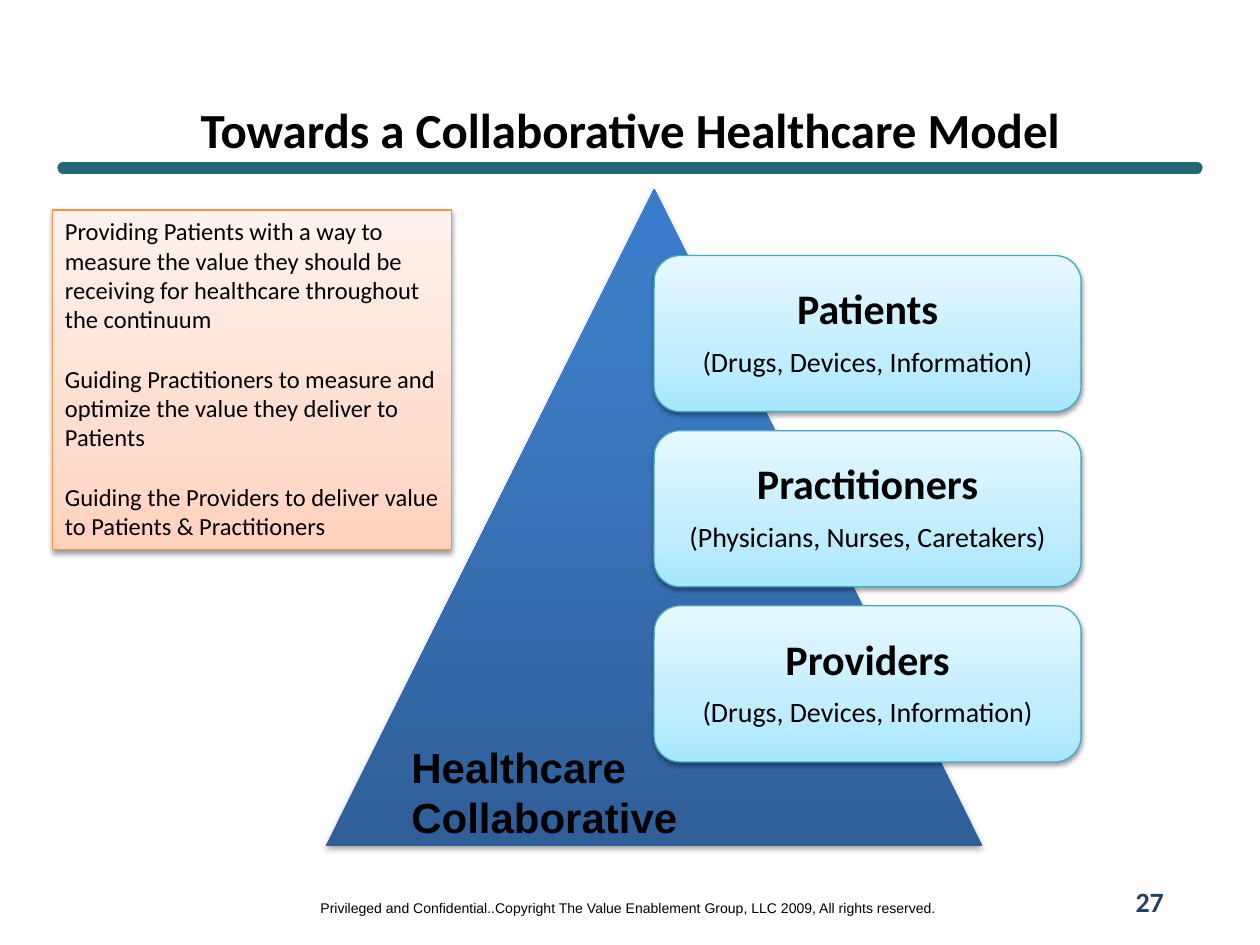
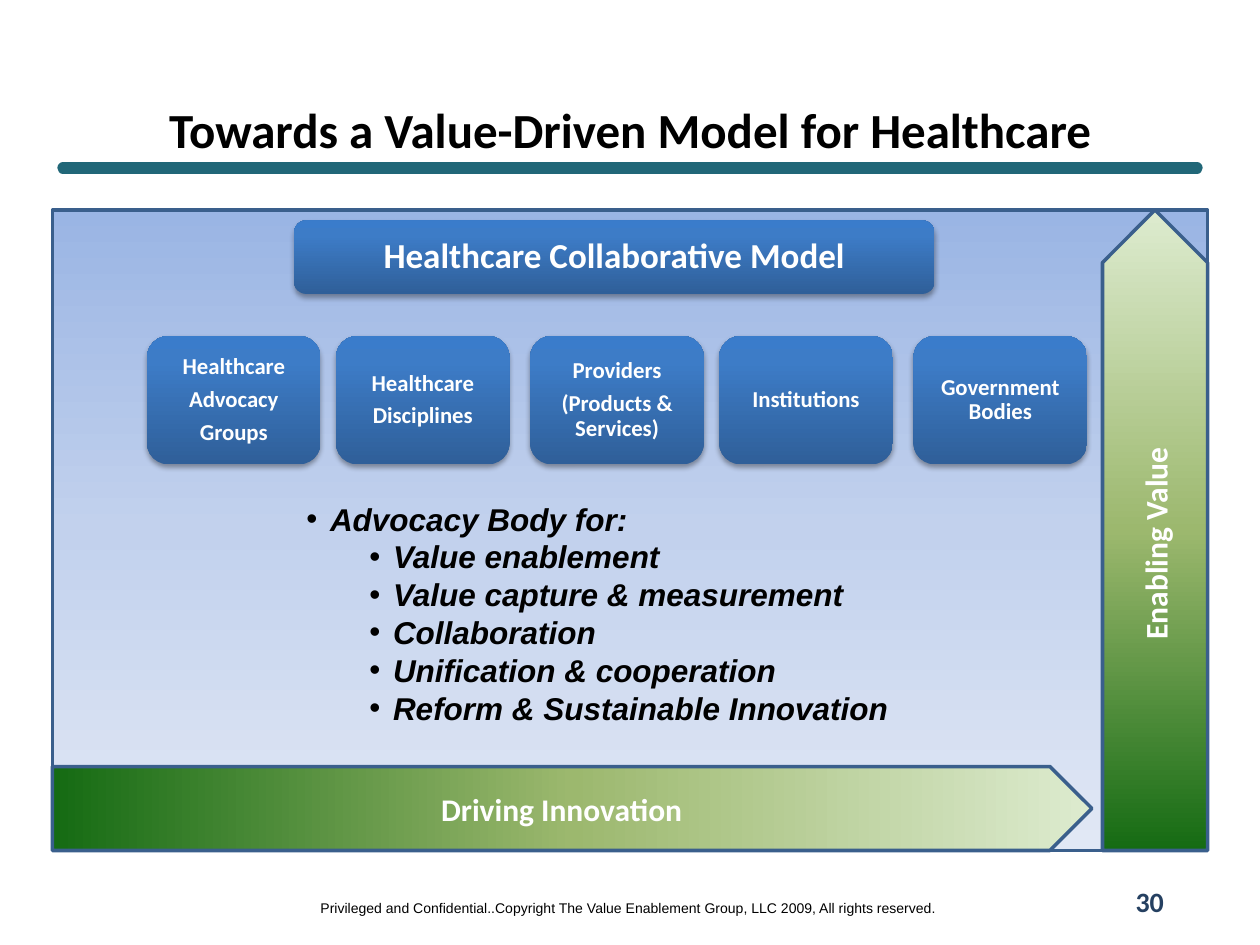
from dataclasses import dataclass
from typing import NamedTuple, Optional

from lxml.etree import SubElement
from pptx import Presentation
from pptx.dml.color import RGBColor
from pptx.enum.shapes import MSO_CONNECTOR, MSO_SHAPE as Preset
from pptx.enum.text import MSO_ANCHOR as Anchor, PP_ALIGN as Align
from pptx.oxml.ns import qn
from pptx.presentation import Presentation as Deck
from pptx.shapes.autoshape import Shape
from pptx.slide import Slide
from pptx.text.text import TextFrame
from pptx.util import Pt


class Box(NamedTuple):
    left: float
    top: float
    width: float
    height: float


class Gradient(NamedTuple):
    stops: tuple[tuple[int, str], ...]
    angle: int


class Outline(NamedTuple):
    color: str
    width: float


class Shadow(NamedTuple):
    opacity: int
    blur: float
    distance: float


@dataclass(frozen=True)
class Style:
    gradient: Gradient
    outline: Optional[Outline] = None
    shadow: Optional[Shadow] = None


@dataclass(frozen=True)
class Theme:
    heading_font: str = "Calibri"
    plain_font: str = "Arial"
    black: str = "000000"
    white: str = "FFFFFF"
    rule: Outline = Outline("216778", 6.5)
    page_number: str = "254061"
    title_size: float = 28
    card_size: float = 24
    banner_size: float = 20
    arrow_size: float = 18
    detail_size: float = 16
    note_size: float = 14
    member_size: float = 13
    footer_size: float = 8
    blue: Style = Style(
        Gradient(((0, "2F5F99"), (80, "3D7CC7"), (100, "3A7CCB")), 270),
        shadow=Shadow(35, 3.1, 1.8))
    aqua: Style = Style(
        Gradient(((0, "A7E6FF"), (35, "C1EDFF"), (100, "E7F8FF")), 270),
        Outline("46AAC5", 0.75), Shadow(38, 3.1, 1.6))
    peach: Style = Style(
        Gradient(((0, "FFD2BD"), (35, "FFDED0"), (100, "FFF2ED")), 270),
        Outline("F69240", 0.75), Shadow(38, 3.1, 1.6))
    backdrop: Style = Style(
        Gradient(((0, "9AB5E4"), (50, "C2D1ED"), (100, "E1E8F5")), 90),
        Outline("3A5F8C", 2))
    green: Style = Style(
        Gradient(((0, "DDEBCF"), (50, "9CB86E"), (100, "156B13")), 180),
        Outline("3A5F8C", 2))


class Card(NamedTuple):
    heading: str
    detail: str


class Member(NamedTuple):
    left: float
    lines: tuple[str, ...]


THEME = Theme()
FOOTER = ("Privileged and Confidential..Copyright The Value Enablement Group, "
          "LLC 2009, All rights reserved.")
CARDS = (
    Card("Patients", "(Drugs, Devices, Information)"),
    Card("Practitioners", "(Physicians, Nurses, Caretakers)"),
    Card("Providers", "(Drugs, Devices, Information)"),
)
AIMS = (
    "Providing Patients with a way to measure the value they should be "
    "receiving for healthcare throughout the continuum",
    "Guiding Practitioners to measure and optimize the value they deliver to Patients",
    "Guiding the Providers to deliver value to Patients & Practitioners",
)
MEMBERS = (
    Member(84, ("Healthcare", "Advocacy", "Groups")),
    Member(192, ("Healthcare", "Disciplines")),
    Member(303, ("Providers", "(Products & Services)")),
    Member(411, ("Institutions",)),
    Member(522, ("Government Bodies",)),
)
ADVOCACY = ("Value enablement", "Value capture & measurement", "Collaboration",
            "Unification & cooperation", "Reform & Sustainable Innovation")


def write(frame: TextFrame, text: str, *, size: float, color: str = THEME.black,
          font: str = THEME.heading_font, bold: bool = False, italic: bool = False,
          align: Align = Align.LEFT, line_spacing: float = 1, before: float = 0,
          after: float = 0, bullet_indent: float = 0, level: int = 0) -> None:
    """Add one paragraph, using the empty first one when it is still free."""
    first = frame.paragraphs[0]
    paragraph = frame.add_paragraph() if first.runs else first
    paragraph.alignment = align
    paragraph.level = level
    paragraph.line_spacing = line_spacing
    paragraph.space_before = Pt(before)
    paragraph.space_after = Pt(after)
    if bullet_indent:
        properties = paragraph._p.get_or_add_pPr()
        properties.set("marL", str(Pt(bullet_indent)))
        properties.set("indent", str(-Pt(13.5)))
        SubElement(properties, qn("a:buFont"), typeface=THEME.plain_font)
        SubElement(properties, qn("a:buChar"), char="•")
    run = paragraph.add_run()
    run.text = text
    run.font.name = font
    run.font.size = Pt(size)
    run.font.bold = bold
    run.font.italic = italic
    run.font.color.rgb = RGBColor.from_string(color)


def write_block(frame: TextFrame, text: str, *, size: float, **formats) -> None:
    """Add a centred, tightly set paragraph followed by 35% of its size."""
    write(frame, text, size=size, align=Align.CENTER, line_spacing=0.9,
          after=0.35 * size, **formats)


def set_margin(frame: TextFrame, margin: float) -> None:
    frame.margin_left = frame.margin_right = Pt(margin)
    frame.margin_top = frame.margin_bottom = Pt(margin)


def add_text_area(slide: Slide, box: Box, *, anchor: Anchor = Anchor.TOP,
                  wrap: bool = True) -> TextFrame:
    frame = slide.shapes.add_textbox(*map(Pt, box)).text_frame
    frame.word_wrap = wrap
    frame.vertical_anchor = anchor
    return frame


def apply_gradient(shape: Shape, gradient: Gradient) -> None:
    shape.fill.gradient()
    fill = shape.element.spPr.find(qn("a:gradFill"))
    for child in list(fill):
        fill.remove(child)
    fill.set("rotWithShape", "1")
    stops = SubElement(fill, qn("a:gsLst"))
    for position, color in gradient.stops:
        stop = SubElement(stops, qn("a:gs"), pos=str(position * 1000))
        SubElement(stop, qn("a:srgbClr"), val=color)
    SubElement(fill, qn("a:lin"), ang=str(gradient.angle * 60000), scaled="0")


def apply_shadow(shape: Shape, shadow: Shadow) -> None:
    effects = shape.element.spPr.find(qn("a:effectLst"))
    outer = SubElement(effects, qn("a:outerShdw"), blurRad=str(Pt(shadow.blur)),
                       dist=str(Pt(shadow.distance)), dir="5400000", rotWithShape="0")
    color = SubElement(outer, qn("a:srgbClr"), val=THEME.black)
    SubElement(color, qn("a:alpha"), val=str(shadow.opacity * 1000))


def add_panel(slide: Slide, preset: Preset, box: Box, style: Style,
              anchor: Anchor = Anchor.MIDDLE) -> Shape:
    panel = slide.shapes.add_shape(preset, *map(Pt, box))
    panel.shadow.inherit = False
    apply_gradient(panel, style.gradient)
    if style.outline:
        panel.line.color.rgb = RGBColor.from_string(style.outline.color)
        panel.line.width = Pt(style.outline.width)
    else:
        panel.line.fill.background()
    if style.shadow:
        apply_shadow(panel, style.shadow)
    panel.text_frame.word_wrap = True
    panel.text_frame.vertical_anchor = anchor
    return panel


def add_page(deck: Deck, title: str, number: int) -> Slide:
    """Add a slide with the shared title, rule, footer and page number."""
    slide = deck.slides.add_slide(deck.slide_layouts[6])
    rule = slide.shapes.add_connector(MSO_CONNECTOR.STRAIGHT, Pt(36), Pt(96), Pt(684), Pt(96))
    rule.line.color.rgb = RGBColor.from_string(THEME.rule.color)
    rule.line.width = Pt(THEME.rule.width)
    rule.line._get_or_add_ln().set("cap", "rnd")
    SubElement(rule._element.spPr, qn("a:effectLst"))
    write(add_text_area(slide, Box(173.5, 510.5, 371.5, 17.3), wrap=False), FOOTER,
          size=THEME.footer_size, font=THEME.plain_font, align=Align.CENTER)
    write(add_text_area(slide, Box(36, 60, 648, 27), anchor=Anchor.MIDDLE), title,
          size=THEME.title_size, bold=True, align=Align.CENTER)
    write(add_text_area(slide, Box(630, 500.4, 54, 28.8), anchor=Anchor.MIDDLE), str(number),
          size=THEME.detail_size, color=THEME.page_number, bold=True, align=Align.CENTER)
    return slide


def build_collaborative_model(deck: Deck) -> None:
    slide = add_page(deck, "Towards a Collaborative Healthcare Model", 27)
    pyramid = Box(186, 108, 375.6, 375.6)
    add_panel(slide, Preset.ISOSCELES_TRIANGLE, pyramid, THEME.blue)
    for row, card in enumerate(CARDS):
        box = Box(pyramid.left + pyramid.width / 2, 146 + row * 100.1, 244, 89.2)
        frame = add_panel(slide, Preset.ROUNDED_RECTANGLE, box, THEME.aqua).text_frame
        set_margin(frame, 7.2)
        write_block(frame, card.heading, size=THEME.card_size, bold=True)
        write_block(frame, card.detail, size=THEME.detail_size)
    write(add_text_area(slide, Box(228, 420, 174, 65.5)), "Healthcare Collaborative",
          size=THEME.card_size, font=THEME.plain_font, bold=True)
    aims = add_panel(slide, Preset.RECTANGLE, Box(30, 120, 228, 194), THEME.peach, Anchor.TOP)
    for index, aim in enumerate(AIMS):
        write(aims.text_frame, aim, size=THEME.note_size, before=17 if index else 0)


def build_value_driven_model(deck: Deck) -> None:
    slide = add_page(deck, "Towards a Value-Driven Model for Healthcare", 30)
    area = Box(30, 120, 660, 366)
    add_panel(slide, Preset.FLOWCHART_PROCESS, area, THEME.backdrop)

    banner = add_panel(slide, Preset.ROUNDED_RECTANGLE, Box(168, 126, 366, 42), THEME.blue)
    set_margin(banner.text_frame, 3.6)
    write_block(banner.text_frame, "Healthcare Collaborative Model",
                size=THEME.banner_size, color=THEME.white, bold=True)
    for member in MEMBERS:
        box = Box(member.left, 192, 99.2, 73.4)
        frame = add_panel(slide, Preset.ROUNDED_RECTANGLE, box, THEME.blue).text_frame
        set_margin(frame, 3.6)
        for line in member.lines:
            write_block(frame, line, size=THEME.member_size, color=THEME.white, bold=True)

    right, bottom = area.left + area.width, area.top + area.height
    rise = 60
    arrows = (
        ("Driving Innovation", Box(area.left, bottom - 48, 594, 48), 0),
        ("Enabling Value", Box(right - (rise + area.height) / 2,
                               area.top + (area.height - rise) / 2, area.height, rise), 270),
    )
    for label, box, rotation in arrows:
        arrow = add_panel(slide, Preset.PENTAGON, box, THEME.green)
        arrow.rotation = rotation
        write(arrow.text_frame, label, size=THEME.arrow_size, color=THEME.white,
              bold=True, align=Align.CENTER)

    advocacy = add_text_area(slide, Box(168, 282, 378, 138))
    emphasis = dict(size=THEME.arrow_size, font=THEME.plain_font, bold=True, italic=True)
    write(advocacy, "Advocacy Body for:", bullet_indent=13.5, **emphasis)
    for goal in ADVOCACY:
        write(advocacy, goal, bullet_indent=49.5, level=1, **emphasis)


def main() -> None:
    deck = Presentation()
    deck.slide_width, deck.slide_height = Pt(720), Pt(540)
    build_collaborative_model(deck)
    build_value_driven_model(deck)
    deck.save("out.pptx")


if __name__ == "__main__":
    main()
